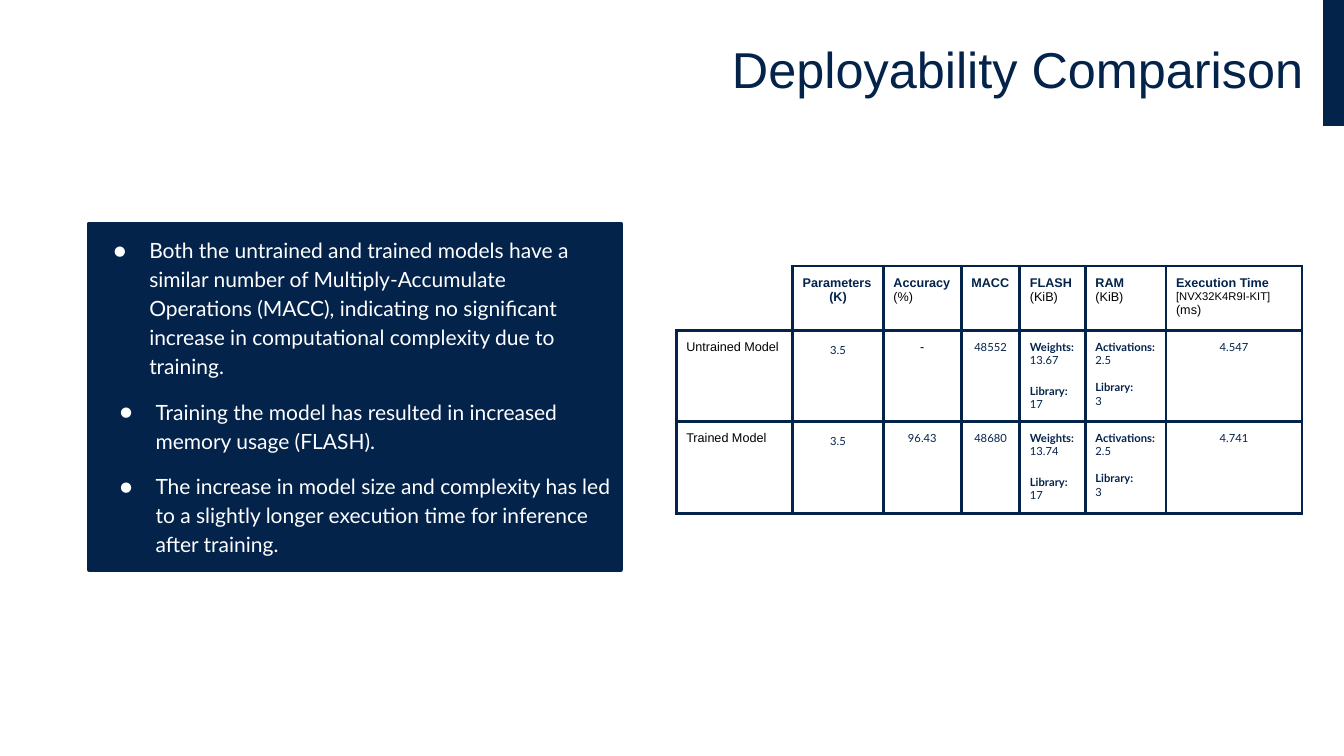
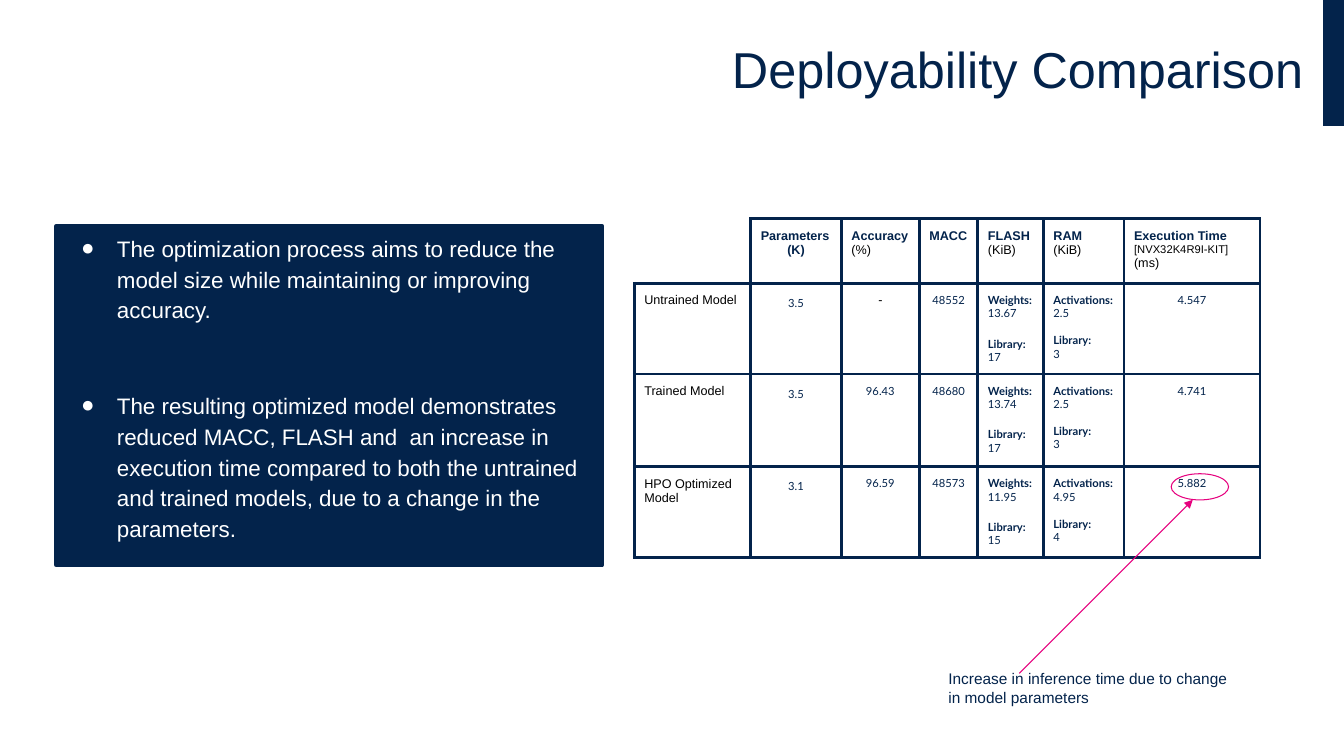
from typing import NamedTuple

from lxml.etree import SubElement
from pptx import Presentation
from pptx.dml.color import RGBColor
from pptx.enum.shapes import MSO_CONNECTOR, MSO_SHAPE
from pptx.enum.text import MSO_ANCHOR, MSO_AUTO_SIZE, PP_ALIGN
from pptx.oxml.ns import qn
from pptx.util import Pt

NAVY = RGBColor(0x03, 0x23, 0x4B)
WHITE = RGBColor(0xFF, 0xFF, 0xFF)
BLACK = RGBColor(0, 0, 0)
PINK = RGBColor(0xE6, 0x00, 0x7E)
CENTER = PP_ALIGN.CENTER


class Style(NamedTuple):
    font: str
    size: float
    color: RGBColor
    bold: bool = False


TITLE = Style("Arial", 36, NAVY)
HEAD = Style("Arial", 9, NAVY, True)
UNIT = Style("Arial", 9, BLACK)
BOARD = Style("Arial", 8, BLACK)
LABEL = Style("Lato", 8, NAVY, True)
VALUE = Style("Lato", 8, NAVY)
NOTE = Style("Arial", 11, NAVY)

COL_WIDTHS = [83.2, 64.8, 55.7, 41.8, 46.8, 57.6, 97.2]
HEAD_HEIGHT = 46
HEADERS = [
    [],
    [([("Parameters", HEAD)], {}), ([("(K)", HEAD)], {"align": CENTER})],
    [([("Accuracy", HEAD), (" (%)", UNIT)], {})],
    [([("MACC", HEAD)], {})],
    [([("FLASH", HEAD), (" (KiB)", UNIT)], {})],
    [([("RAM", HEAD)], {}), ([("(KiB)", UNIT)], {})],
    [([("Execution Time", HEAD)], {}), ([("[NVX32K4R9I-KIT]", BOARD)], {}),
     ([("(ms)", UNIT)], {})],
]
MODELS = [
    ("Untrained Model", "3.5", "-", "48552", ("13.67", "17"), ("2.5", "3"), "4.547", 64.8),
    ("Trained Model", "3.5", "96.43", "48680", ("13.74", "17"), ("2.5", "3"), "4.741", 66.2),
    ("HPO Optimized Model", "3.1", "96.59", "48573", ("11.95", "15"), ("4.95", "4"), "5.882", 64.8),
]


def model_cells(name, params, accuracy, macc, flash, ram, time):
    def centered(text, style=VALUE, **opts):
        return [([(text, style)], {"align": CENTER, **opts})]

    return [
        [([(name, UNIT)], {})],
        centered(params, spacing=1.22),
        centered(accuracy, UNIT if accuracy == "-" else VALUE),
        centered(macc),
        [([("Weights: ", LABEL), (flash[0], VALUE)], {}),
         ([("Library: ", LABEL), (flash[1], VALUE)], {"before": 12})],
        [([("Activations: ", LABEL), (ram[0], VALUE)], {}),
         ([("Library:", LABEL)], {"before": 9.6}),
         ([(ram[1], VALUE)], {})],
        centered(time),
    ]


class Deck:
    def __init__(self):
        self.prs = Presentation()
        self.prs.slide_width, self.prs.slide_height = Pt(960), Pt(540)
        self.layout = self.prs.slide_layouts[1]
        self.place(self.layout.placeholders[0], 23.8, 0, 914.4, 103)
        self.s = None

    def place(self, shape, x, y, w, h):
        shape.left, shape.top, shape.width, shape.height = Pt(x), Pt(y), Pt(w), Pt(h)

    def slide(self, title):
        self.s = self.prs.slides.add_slide(self.layout)
        tf = self.s.shapes.title.text_frame
        tf.auto_size = MSO_AUTO_SIZE.NONE
        tf.vertical_anchor = MSO_ANCHOR.MIDDLE
        self.para(tf, [(title, TITLE)], align=PP_ALIGN.RIGHT, spacing=0.9)
        self.shape(MSO_SHAPE.RECTANGLE, 945.2, 0, 14.8, 90, fill=NAVY)

    def para(self, tf, runs, align=None, before=0, spacing=None):
        p = tf.add_paragraph() if tf.text else tf.paragraphs[0]
        p.alignment, p.line_spacing, p.space_before = align, spacing, Pt(before)
        for text, style in runs:
            r = p.add_run()
            r.text = text
            r.font.name, r.font.size, r.font.bold = style.font, Pt(style.size), style.bold
            r.font.color.rgb = style.color
        return p

    def shape(self, kind, x, y, w, h, fill=None, line=None):
        sp = self.s.shapes.add_shape(kind, Pt(x), Pt(y), Pt(w), Pt(h))
        sp.shadow.inherit = False
        if fill is None:
            sp.fill.background()
        else:
            sp.fill.solid()
            sp.fill.fore_color.rgb = fill
        if line is None:
            sp.line.fill.background()
        else:
            sp.line.color.rgb, sp.line.width = line, Pt(0.75)

    def bullets(self, box, items, style, gap, inset):
        sp = self.s.placeholders[1]
        self.place(sp, *box)
        sp.fill.solid()
        sp.fill.fore_color.rgb = NAVY
        sp.line.color.rgb, sp.line.width = NAVY, Pt(3)
        tf = sp.text_frame
        tf.auto_size = MSO_AUTO_SIZE.NONE
        tf.vertical_anchor = MSO_ANCHOR.TOP
        tf.margin_top = tf.margin_bottom = Pt(inset)
        for i, (text, indent) in enumerate(items):
            p = self.para(tf, [(text, style)], before=gap if i else 0, spacing=1.15)
            pPr = p._p.get_or_add_pPr()
            pPr.set("marL", str(Pt(indent)))
            pPr.set("indent", str(-Pt(25.5)))
            color = SubElement(pPr, qn("a:buClr"))
            SubElement(color, qn("a:srgbClr")).set("val", str(style.color))
            SubElement(pPr, qn("a:buFont")).set("typeface", style.font)
            SubElement(pPr, qn("a:buChar")).set("char", "●")

    def borders(self, cell, hidden=()):
        tcPr = cell._tc.get_or_add_tcPr()
        for side in ("lnL", "lnR", "lnT", "lnB"):
            ln = SubElement(tcPr, qn(f"a:{side}"))
            ln.set("w", str(Pt(2.25)))
            if side in hidden:
                SubElement(ln, qn("a:noFill"))
            else:
                fill = SubElement(ln, qn("a:solidFill"))
                SubElement(fill, qn("a:srgbClr")).set("val", str(NAVY))

    def model_table(self, x, y, models):
        heights = [HEAD_HEIGHT] + [m[-1] for m in models]
        rows = [HEADERS] + [model_cells(*m[:-1]) for m in models]
        table = self.s.shapes.add_table(len(rows), len(COL_WIDTHS), Pt(x), Pt(y),
                                        Pt(sum(COL_WIDTHS)), Pt(sum(heights))).table
        table.first_row = table.horz_banding = False
        for col, width in zip(table.columns, COL_WIDTHS):
            col.width = Pt(width)
        for i, (row, height) in enumerate(zip(rows, heights)):
            table.rows[i].height = Pt(height)
            for j, paras in enumerate(row):
                cell = table.cell(i, j)
                cell.margin_left = cell.margin_right = Pt(7.2)
                cell.margin_top = cell.margin_bottom = Pt(7.2)
                self.borders(cell, ("lnL", "lnT") if i == j == 0 else ())
                cell.fill.background()
                for runs, opts in paras:
                    self.para(cell.text_frame, runs, **opts)

    def arrow(self, x1, y1, x2, y2):
        cn = self.s.shapes.add_connector(MSO_CONNECTOR.STRAIGHT, Pt(x1), Pt(y1), Pt(x2), Pt(y2))
        cn.line.color.rgb, cn.line.width = PINK, Pt(0.75)
        SubElement(cn.line._get_or_add_ln(), qn("a:tailEnd")).set("type", "triangle")
        SubElement(cn._element.spPr, qn("a:effectLst"))

    def note(self, text, x, y, w, h):
        tf = self.s.shapes.add_textbox(Pt(x), Pt(y), Pt(w), Pt(h)).text_frame
        tf.word_wrap = True
        tf.margin_top = tf.margin_bottom = Pt(7.2)
        self.para(tf, [(text, NOTE)])


def main():
    deck = Deck()

    deck.slide("Deployability Comparison")
    deck.bullets((63.4, 159.8, 380.2, 247), [
        ("Both the untrained and trained models have a similar number of "
         "Multiply-Accumulate Operations (MACC), indicating no significant increase "
         "in computational complexity due to training.", 36),
        ("Training the model has resulted in increased memory usage (FLASH).", 40.5),
        ("The increase in model size and complexity has led to a slightly longer "
         "execution time for inference after training.", 40.5),
    ], Style("Lato", 15, WHITE), gap=12, inset=7.2)
    deck.model_table(483, 190, MODELS[:2])

    deck.slide("Deployability Comparison")
    deck.bullets((40.3, 161.3, 389.5, 242.6), [
        ("The optimization process aims to reduce the model size while maintaining "
         "or improving accuracy.", 36),
        ("The resulting optimized model demonstrates reduced MACC, FLASH and  an "
         "increase in execution time compared to both the untrained and trained "
         "models, due to a change in the parameters.", 36),
    ], Style("Arial", 16, WHITE), gap=46, inset=3.6)
    deck.model_table(453, 156.3, MODELS)
    deck.arrow(728, 481, 852, 357)
    deck.shape(MSO_SHAPE.OVAL, 836.6, 338.4, 41, 18.7, line=PINK)
    deck.note("Increase in inference time due to change in model parameters",
              670.3, 470.9, 217.4, 32.4)

    deck.prs.save("out.pptx")


if __name__ == "__main__":
    main()
